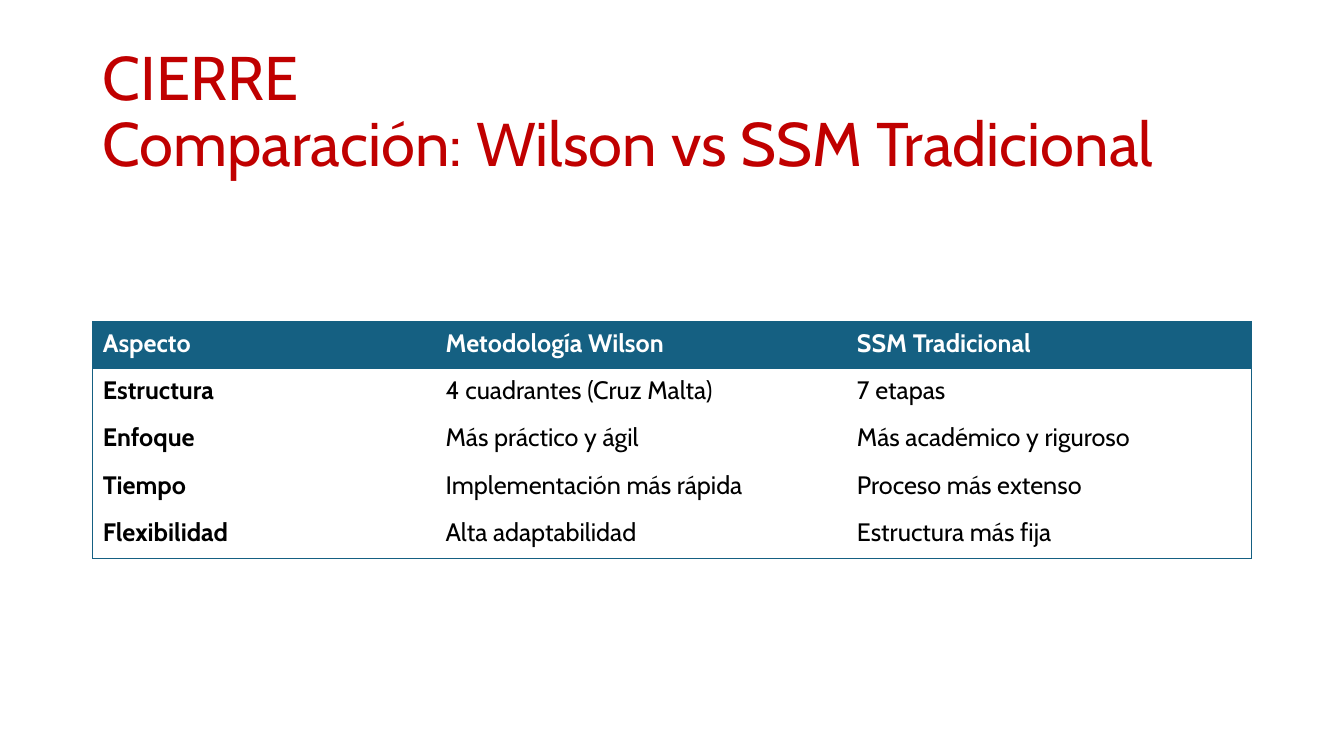
"""Build the closing slide that compares the Wilson and traditional SSM methods."""
import lxml.etree
import pptx
import pptx.dml.color
import pptx.enum.text
import pptx.oxml.ns
import pptx.util
from pptx.util import Inches

COLORS = {"title": "C00000", "accent": "156082", "header": "FFFFFF", "body": "000000"}
FONT = "Cabin"
LEFT = 0.92
COLUMN_WIDTHS = [3.33, 4.08, 4.08]
ROW_HEIGHT = 0.47
ROWS = [
    ["Aspecto", "Metodología Wilson", "SSM Tradicional"],
    ["Estructura", "4 cuadrantes (Cruz Malta)", "7 etapas"],
    ["Enfoque", "Más práctico y ágil", "Más académico y riguroso"],
    ["Tiempo", "Implementación más rápida", "Proceso más extenso"],
    ["Flexibilidad", "Alta adaptabilidad", "Estructura más fija"],
]


def rgb(name):
    """Return a named colour."""
    return pptx.dml.color.RGBColor.from_string(COLORS[name])


def add_span(para, text, size, color, bold=False):
    """Add one formatted run."""
    span = para.add_run()
    span.text = text
    span.font.name = FONT
    span.font.size = pptx.util.Pt(size)
    span.font.bold = bold
    span.font.color.rgb = rgb(color)


def add_title(page, lines):
    """Add the title with its lines in one paragraph."""
    box = page.shapes.add_textbox(Inches(LEFT), Inches(0.4), Inches(11.5), Inches(1.45))
    frame = box.text_frame
    frame.word_wrap = True
    frame.vertical_anchor = pptx.enum.text.MSO_ANCHOR.MIDDLE
    para = frame.paragraphs[0]
    para.line_spacing = 0.9
    for index, line in enumerate(lines):
        if index:
            para.add_line_break()
        add_span(para, line, 44, "title")


def set_borders(cell, sides):
    """Draw the given sides of a cell and clear the others."""
    properties = cell._tc.get_or_add_tcPr()
    for side in "LRTB":
        line = lxml.etree.SubElement(properties, pptx.oxml.ns.qn(f"a:ln{side}"), w="12700")
        if side in sides:
            fill = lxml.etree.SubElement(line, pptx.oxml.ns.qn("a:solidFill"))
            lxml.etree.SubElement(fill, pptx.oxml.ns.qn("a:srgbClr"), val=COLORS["accent"])
        else:
            lxml.etree.SubElement(line, pptx.oxml.ns.qn("a:noFill"))


def fill_cell(cell, text, row, column):
    """Write and style one table cell by its place in the grid."""
    last_row, last_column = len(ROWS) - 1, len(COLUMN_WIDTHS) - 1
    edges = {"L": column == 0, "R": column == last_column, "T": row == 0, "B": row == last_row}
    set_borders(cell, [side for side, outer in edges.items() if outer])
    if row == 0:
        cell.fill.solid()
        cell.fill.fore_color.rgb = rgb("accent")
    else:
        cell.fill.background()
    cell.margin_left = Inches(0.1 if column == 0 else 0.17)
    cell.margin_right = Inches(0.1 if column == last_column and row else 0.17)
    cell.margin_top = cell.margin_bottom = Inches(0.1)
    cell.vertical_anchor = pptx.enum.text.MSO_ANCHOR.MIDDLE
    para = cell.text_frame.paragraphs[0]
    para.line_spacing = pptx.util.Pt(18.8)
    add_span(para, text, 18, "body" if row else "header", row == 0 or column == 0)


def add_comparison(page):
    """Add the comparison table."""
    frame = page.shapes.add_table(
        len(ROWS), len(COLUMN_WIDTHS), Inches(LEFT), Inches(3.19),
        Inches(sum(COLUMN_WIDTHS)), Inches(ROW_HEIGHT * len(ROWS)))
    table = frame.table
    table.horz_banding = False
    for column, width in zip(table.columns, COLUMN_WIDTHS):
        column.width = Inches(width)
    for row, texts in enumerate(ROWS):
        table.rows[row].height = Inches(ROW_HEIGHT)
        for column, text in enumerate(texts):
            fill_cell(table.cell(row, column), text, row, column)


def main():
    """Build and save the deck."""
    deck = pptx.Presentation()
    deck.slide_width, deck.slide_height = Inches(13.33), Inches(7.5)
    page = deck.slides.add_slide(deck.slide_layouts[6])
    add_title(page, ["CIERRE", "Comparación: Wilson vs SSM Tradicional"])
    add_comparison(page)
    deck.save("out.pptx")


if __name__ == "__main__":
    main()
